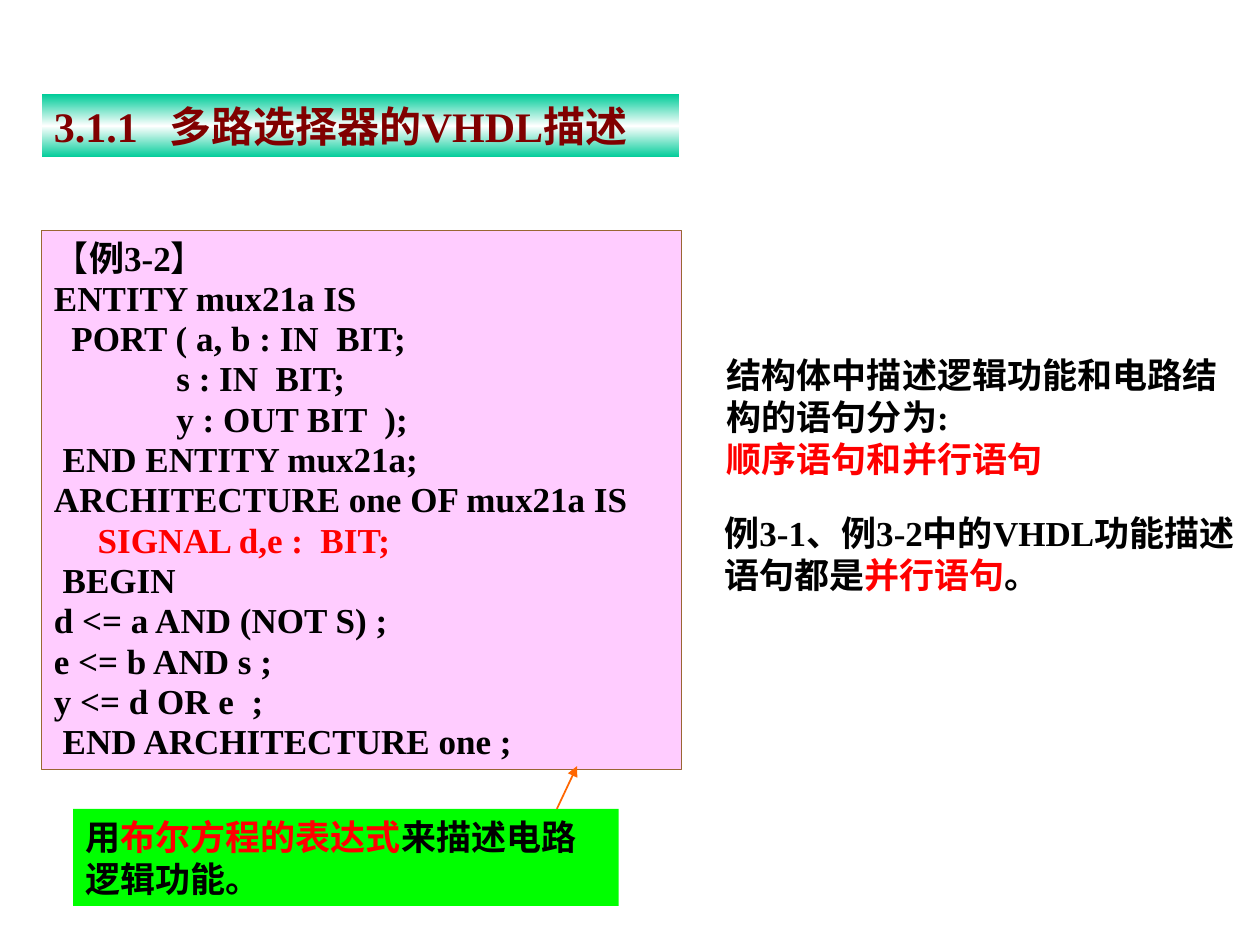
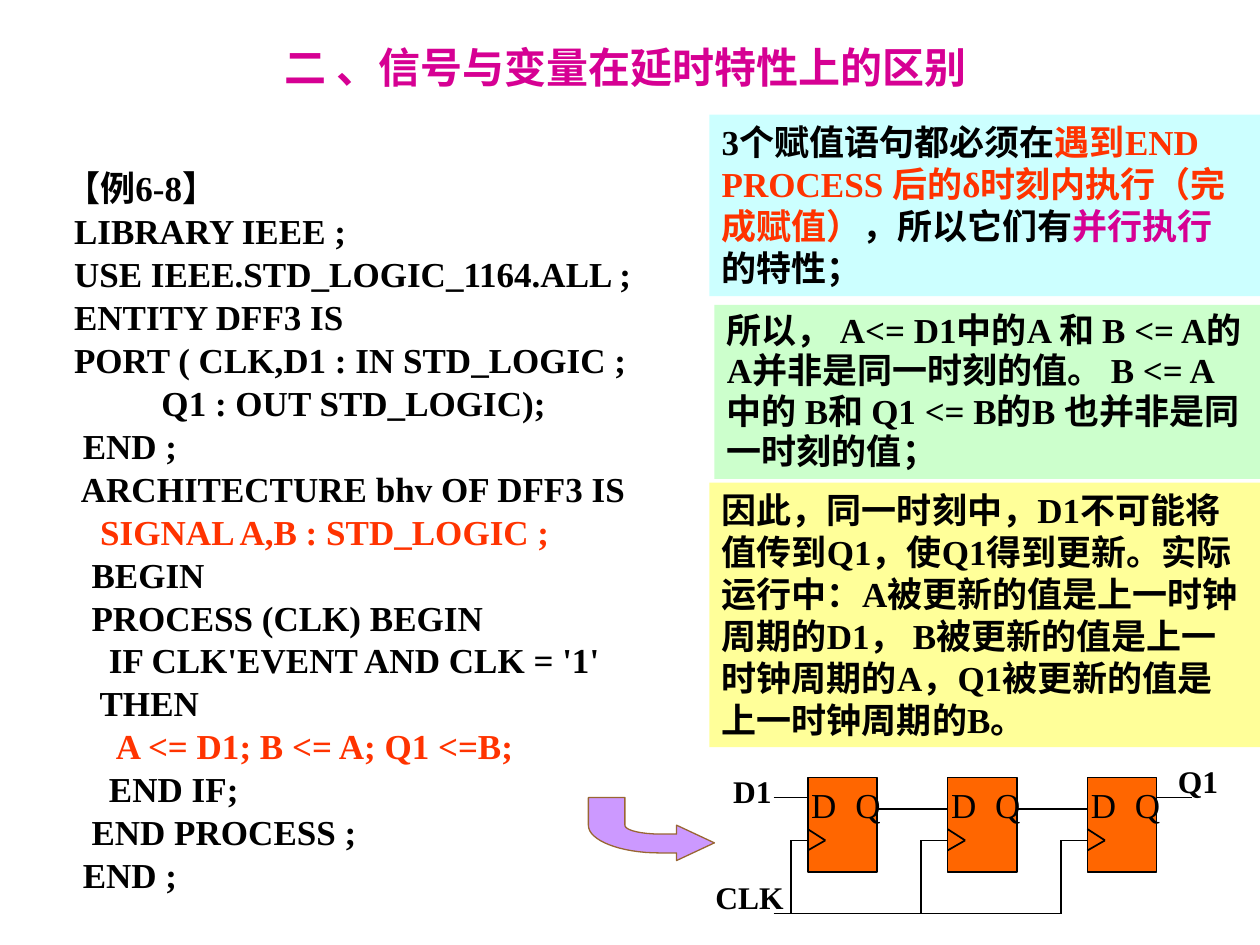
"""Build two slides on VHDL multiplexer descriptions and signal delay."""
import copy
import typing

import pptx
import pptx.dml.color
import pptx.enum.lang
import pptx.enum.shapes
import pptx.enum.text
import pptx.oxml.ns
import pptx.slide
import pptx.util
from lxml import etree

Inches = pptx.util.Inches
FONT = "Times New Roman"
COLORS = {
    "black": "000000", "white": "FFFFFF", "red": "FF0000", "scarlet": "FF3300",
    "maroon": "800000", "magenta": "D60093", "teal": "00CC99", "pink": "FFCCFF",
    "brown": "996633", "green": "00FF00", "orange": "FF6600", "cyan": "CCFFFF",
    "mint": "CCFFCC", "yellow": "FFFF99", "lilac": "CC99FF",
}
Slide = pptx.slide.Slide
Point = tuple[float, float]


class Span(typing.NamedTuple):
    text: str
    color: str = "black"
    bold: bool = True


Paragraphs = list[str | list[Span]]


class Panel(typing.NamedTuple):
    left: float
    top: float
    width: float
    height: float
    paragraphs: Paragraphs
    fill: str | None = None
    line: str | None = None
    spacing: float = 1.0
    first_spacing: float | None = None
    right_inset: float = 0.1


class Wire(typing.NamedTuple):
    start: Point
    end: Point


def rgb(name: str) -> pptx.dml.color.RGBColor:
    return pptx.dml.color.RGBColor.from_string(COLORS[name])


def paint(shape, fill: str | None, line: str | None, weight: float = 0.75) -> None:
    shape.shadow.inherit = False
    if fill:
        shape.fill.solid()
        shape.fill.fore_color.rgb = rgb(fill)
    else:
        shape.fill.background()
    if line:
        shape.line.color.rgb = rgb(line)
        shape.line.width = pptx.util.Pt(weight)
    else:
        shape.line.fill.background()


def add_rectangle(slide: Slide, left: float, top: float, width: float, height: float,
                  fill: str | None = None, line: str | None = None, weight: float = 0.75):
    box = slide.shapes.add_shape(
        pptx.enum.shapes.MSO_SHAPE.RECTANGLE,
        Inches(left), Inches(top), Inches(width), Inches(height))
    paint(box, fill, line, weight)
    return box


def write(box, paragraphs: Paragraphs, *, size: float = 20, color: str = "black",
          bold: bool = True, spacing: float = 1.0, first_spacing: float | None = None,
          before: float = 0, wrap: bool = True, right_inset: float = 0.1,
          tab: float | None = None) -> None:
    frame = box.text_frame
    frame.word_wrap = wrap
    if not wrap:
        frame.auto_size = pptx.enum.text.MSO_AUTO_SIZE.SHAPE_TO_FIT_TEXT
    frame.vertical_anchor = pptx.enum.text.MSO_ANCHOR.TOP
    frame.margin_right = Inches(right_inset)
    for index, content in enumerate(paragraphs):
        para = frame.paragraphs[0] if index == 0 else frame.add_paragraph()
        para.alignment = pptx.enum.text.PP_ALIGN.LEFT
        para.line_spacing = spacing if index else first_spacing or spacing
        para.space_before = pptx.util.Pt(before if index else 0)
        if tab:
            properties = para._p.get_or_add_pPr()
            stops = etree.SubElement(properties, pptx.oxml.ns.qn("a:tabLst"))
            etree.SubElement(stops, pptx.oxml.ns.qn("a:tab"), pos=str(Inches(tab)), algn="l")
        spans = [Span(content, color, bold)] if isinstance(content, str) else content
        for span in spans:
            run = para.add_run()
            run.text = span.text
            font = run.font
            font.name = FONT
            font.size = pptx.util.Pt(size)
            font.bold = span.bold
            font.color.rgb = rgb(span.color)
            font.language_id = pptx.enum.lang.MSO_LANGUAGE_ID.SIMPLIFIED_CHINESE


def add_text(slide: Slide, left: float, top: float, width: float, height: float,
             paragraphs: Paragraphs, **style) -> None:
    box = slide.shapes.add_textbox(Inches(left), Inches(top), Inches(width), Inches(height))
    write(box, paragraphs, **style)


def add_panel(slide: Slide, panel: Panel) -> None:
    box = add_rectangle(slide, panel.left, panel.top, panel.width, panel.height,
                        panel.fill, panel.line)
    write(box, panel.paragraphs, spacing=panel.spacing, first_spacing=panel.first_spacing,
          right_inset=panel.right_inset)


def add_wire(slide: Slide, wire: Wire, color: str = "black", arrow: bool = False) -> None:
    ends = [Inches(value) for value in (*wire.start, *wire.end)]
    connector = slide.shapes.add_connector(pptx.enum.shapes.MSO_CONNECTOR.STRAIGHT, *ends)
    connector.line.color.rgb = rgb(color)
    connector.line.width = pptx.util.Pt(1)
    if arrow:
        etree.SubElement(connector.line._get_or_add_ln(),
                         pptx.oxml.ns.qn("a:tailEnd"), type="triangle")
    etree.SubElement(connector._element.spPr, pptx.oxml.ns.qn("a:effectLst"))


def add_gradient_title(slide: Slide) -> None:
    band = add_rectangle(slide, 0.33, 0.75, 5.06, 0.5)
    band.fill.gradient()
    band.fill.gradient_angle = 90
    stops = band._element.spPr.find(".//" + pptx.oxml.ns.qn("a:gsLst"))
    stops.insert(1, copy.deepcopy(stops[0]))
    for stop, position, color in zip(band.fill.gradient_stops, (0, 0.5, 1),
                                     ("teal", "white", "teal")):
        stop.position = position
        stop.color.rgb = rgb(color)
    write(band, ["3.1.1\t多路选择器的VHDL描述"], size=24, color="maroon", tab=0.92)


def bezier(start: Point, first: Point, second: Point, end: Point, steps: int = 16) -> list[Point]:
    points = []
    for step in range(steps + 1):
        t = step / steps
        weights = ((1 - t) ** 3, 3 * t * (1 - t) ** 2, 3 * t ** 2 * (1 - t), t ** 3)
        points.append(tuple(
            sum(weight * value for weight, value in zip(weights, axis))
            for axis in zip(start, first, second, end)))
    return points


def add_curved_arrow(slide: Slide) -> None:
    outline = [
        (4.67, 6.33),
        *bezier((4.67, 6.55), (4.67, 6.67), (4.92, 6.77), (5.24, 6.77)),
        (5.37, 6.77), (5.37, 6.83), (5.67, 6.69), (5.37, 6.55), (5.37, 6.62),
        *bezier((5.24, 6.62), (5.09, 6.62), (4.96, 6.59), (4.96, 6.55)),
        (4.96, 6.33),
    ]
    points = [(Inches(x), Inches(y)) for x, y in outline]
    builder = slide.shapes.build_freeform(*points[0])
    builder.add_line_segments(points[1:], close=True)
    paint(builder.convert_to_shape(), "lilac", "brown")


def add_circuit(slide: Slide) -> None:
    width, pitch, clock_y, bus_y = 0.55, 1.11, 6.67, 7.25
    lefts = [6.41 + pitch * index for index in range(3)]
    for left, clock_x in zip(lefts, (6.28, 7.31, 8.42)):
        add_rectangle(slide, left, 6.17, width, 0.75, "orange", "black", 1)
        for pin, offset in (("D", -0.07), ("Q", 0.28)):
            add_text(slide, left + offset, 6.17, 0.4, 0.44, [pin], bold=False, wrap=False)
        tip = (left + 0.14, clock_y)
        for wire in (Wire((left, 6.58), tip), Wire(tip, (left, 6.75)),
                     Wire((clock_x, clock_y), (left, clock_y)),
                     Wire((clock_x, clock_y), (clock_x, bus_y))):
            add_wire(slide, wire)
    for left, following in zip(lefts, lefts[1:]):
        add_wire(slide, Wire((left + width, 6.42), (following, 6.42)))
    for wire in (Wire((6.14, bus_y), (8.42, bus_y)), Wire((6.14, 6.33), (lefts[0], 6.33)),
                 Wire((lefts[-1] + width, 6.33), (9.46, 6.33))):
        add_wire(slide, wire)
    for name, left, top, label_width in (("CLK", 5.58, 6.92, 0.76), ("D1", 5.72, 6.08, 0.54),
                                         ("Q1", 9.25, 6.0, 0.54)):
        add_text(slide, left, top, label_width, 0.4, [name], size=18, wrap=False)


def build_multiplexer(slide: Slide) -> None:
    add_panel(slide, Panel(0.33, 1.83, 5.08, 4.28, [
        [Span("【", bold=False), Span("例3-2"), Span("】", bold=False)],
        "ENTITY mux21a IS",
        "  PORT ( a, b : IN  BIT;",
        "              s : IN  BIT;",
        "              y : OUT BIT  );",
        " END ENTITY mux21a;",
        "ARCHITECTURE one OF mux21a IS",
        [Span("     SIGNAL d,e :  BIT;", "red")],
        " BEGIN",
        "d <= a AND (NOT S) ;",
        "e <= b AND s ;",
        "y <= d OR e  ;",
        " END ARCHITECTURE one ;",
    ], "pink", "brown", 0.96, first_spacing=1.0))
    add_text(slide, 5.65, 4.01, 4.35, 0.77, [[
        Span("例3-1、例3-2中的VHDL功能描述语句都是"), Span("并行语句", "red"), Span("。")]])
    add_text(slide, 5.67, 2.76, 4.17, 1.1, [
        "结构体中描述逻辑功能和电路结构的语句分为:", [Span("顺序语句和并行语句", "red")]])
    add_panel(slide, Panel(0.58, 6.42, 4.33, 0.77, [[
        Span("用"), Span("布尔方程的表达式", "red"), Span("来描述电路逻辑功能。")]], "green"))
    add_wire(slide, Wire((4.42, 6.42), (4.58, 6.08)), "orange", arrow=True)
    add_gradient_title(slide)


def build_signal_delay(slide: Slide) -> None:
    add_text(slide, 0.42, 1.42, 4.83, 5.72, [
        "【例6-8】",
        " LIBRARY IEEE ;",
        " USE IEEE.STD_LOGIC_1164.ALL ;",
        " ENTITY DFF3 IS",
        " PORT ( CLK,D1 : IN STD_LOGIC ;",
        "           Q1 : OUT STD_LOGIC);",
        "  END ;",
        "  ARCHITECTURE bhv OF DFF3 IS",
        [Span("    SIGNAL A,B : STD_LOGIC ;", "scarlet")],
        "   BEGIN",
        "   PROCESS (CLK) BEGIN",
        "     IF CLK'EVENT AND CLK = '1'",
        "    THEN",
        [Span("      A <= D1; B <= A; Q1 <=B;", "scarlet")],
        "     END IF;",
        "   END PROCESS ;",
        "  END ;",
    ], spacing=0.5, before=12.5)
    for panel in (
        Panel(5.63, 0.91, 4.37, 1.44, [[
            Span("3个赋值语句都必须在"),
            Span("遇到END PROCESS 后的δ时刻内执行（完成赋值）", "scarlet"),
            Span("，所以它们有"), Span("并行执行", "magenta"), Span("的特性；")]], "cyan"),
        Panel(5.67, 2.42, 4.33, 1.38, [
            "所以， A<= D1中的A 和 B <= A的 A并非是同一时刻的值。 "
            "B <= A 中的 B和 Q1 <= B的B 也并非是同一时刻的值；"],
            "mint", spacing=0.96, right_inset=0.13),
        Panel(5.63, 3.83, 4.37, 2.1, [
            "因此，同一时刻中，D1不可能将值传到Q1，使Q1得到更新。实际运行中："
            "A被更新的值是上一时钟周期的D1， B被更新的值是上一时钟周期的A，"
            "Q1被更新的值是上一时钟周期的B。"], "yellow"),
    ):
        add_panel(slide, panel)
    add_text(slide, 2.16, 0.28, 5.67, 0.5, ["二 、信号与变量在延时特性上的区别"],
             size=24, color="magenta")
    add_circuit(slide)
    add_curved_arrow(slide)


def main() -> None:
    deck = pptx.Presentation()
    deck.slide_width, deck.slide_height = Inches(10), Inches(7.5)
    for build_page in (build_multiplexer, build_signal_delay):
        page = deck.slides.add_slide(deck.slide_layouts[6])
        page.background.fill.solid()
        page.background.fill.fore_color.rgb = rgb("white")
        build_page(page)
    deck.save("out.pptx")


if __name__ == "__main__":
    main()
